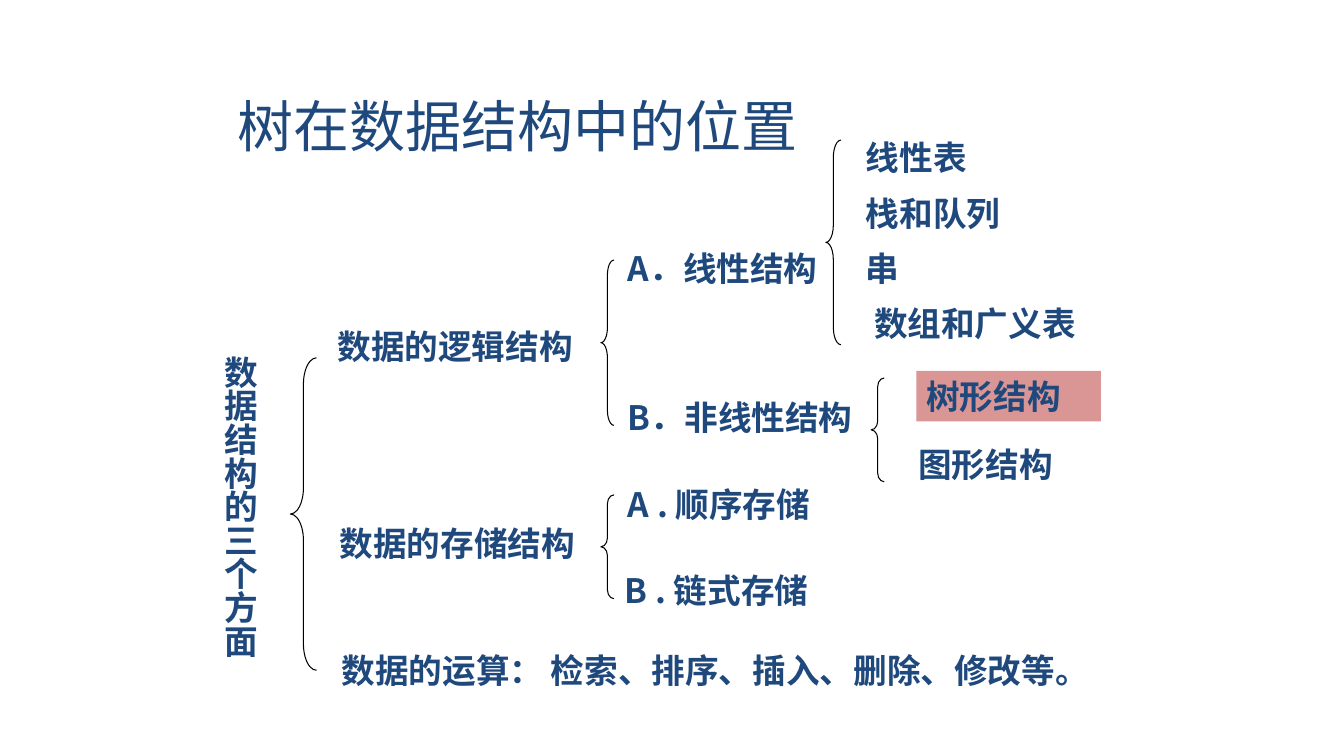
from lxml import etree
from pptx import Presentation
from pptx.dml.color import RGBColor
from pptx.enum.shapes import MSO_SHAPE as Shape
from pptx.enum.text import MSO_ANCHOR as Anchor, MSO_AUTO_SIZE as AutoSize, PP_ALIGN as Align
from pptx.oxml.ns import qn
from pptx.util import Inches, Pt

COLORS = {"text": "1F497D", "line": "000000", "highlight": "D99694"}
FONT = "Noto Sans CJK SC"
LABEL_HEIGHT = 0.5


def color(name):
    return RGBColor.from_string(COLORS[name])


def write_text(shape, text, size=24, bold=True, align=Align.LEFT):
    frame = shape.text_frame
    frame.text = text
    frame.word_wrap = True
    frame.auto_size = AutoSize.SHAPE_TO_FIT_TEXT
    frame.vertical_anchor = Anchor.TOP
    paragraph = frame.paragraphs[0]
    paragraph.alignment = align
    run = paragraph.runs[0]
    run.font.size = Pt(size)
    run.font.bold = bold
    run.font.name = FONT
    run.font.color.rgb = color("text")
    # East Asian typeface for the Chinese characters
    east_asian = etree.SubElement(run._r.get_or_add_rPr(), qn("a:ea"))
    east_asian.set("typeface", FONT)


def add_label(slide, text, left, top, width, height=LABEL_HEIGHT, **style):
    label = slide.shapes.add_textbox(Inches(left), Inches(top), Inches(width), Inches(height))
    write_text(label, text, **style)
    return label


def add_brace(slide, left, top, width, height, curve):
    brace = slide.shapes.add_shape(
        Shape.LEFT_BRACE, Inches(left), Inches(top), Inches(width), Inches(height))
    brace.shadow.inherit = False
    brace.fill.background()
    brace.line.color.rgb = color("line")
    brace.line.width = Pt(0.75)
    brace.adjustments[0] = curve
    brace.adjustments[1] = 0.5


def add_highlight(slide, text, left, top, width):
    box = slide.shapes.add_shape(
        Shape.RECTANGLE, Inches(left), Inches(top), Inches(width), Inches(LABEL_HEIGHT))
    box.shadow.inherit = False
    box.fill.solid()
    box.fill.fore_color.rgb = color("highlight")
    box.line.fill.background()
    write_text(box, text, align=Align.JUSTIFY)


def add_branch(slide, left, top, width, height, curve, labels):
    """Brace at the given box; each label is (text, x offset, y offset, width)."""
    add_brace(slide, left, top, width, height, curve)
    for text, dx, dy, label_width in labels:
        add_label(slide, text, left + dx, top + dy, label_width, align=Align.JUSTIFY)


def add_root(slide, left, top):
    """Vertical root label, its brace and the three aspects."""
    root = add_label(slide, "数据结构的三个方面", left, top, 0.61, 3.42)
    root.text_frame._txBody.bodyPr.set("vert", "eaVert")
    add_brace(slide, left + 0.86, top + 0.12, 0.26, 3.1, 1.005)
    aspects = [
        ("数据的逻辑结构", 1.23, -0.25, 3.27),
        ("数据的存储结构", 1.25, 1.71, 2.76),
        ("数据的运算： 检索、排序、插入、删除、修改等。", 1.27, 2.97, 7.88),
    ]
    for text, dx, dy, width in aspects:
        add_label(slide, text, left + dx, top + dy, width)


def add_logical_structures(slide, left, top):
    """Linear and non-linear structures with their members."""
    add_branch(slide, left, top, 0.13, 1.64, 1.134, [
        ("A．线性结构", 0.17, -0.17, 2.22),
        ("B．非线性结构", 0.17, 1.31, 2.66),
    ])
    # Linear members, one every 0.55 inches
    members = [("线性表", 0.3, 1.37), ("栈和队列", 0.3, 1.78),
               ("串", 0.3, 0.85), ("数组和广义表", 0.38, 2.52)]
    add_branch(slide, left + 2.23, top - 1.19, 0.15, 2.03, 1.134, [
        (text, dx, -0.08 + 0.55 * row, width)
        for row, (text, dx, width) in enumerate(members)])
    # Non-linear members, with the tree highlighted
    add_highlight(slide, "树形结构", left + 3.13, top + 1.1, 1.83)
    add_branch(slide, left + 2.68, top + 1.17, 0.13, 1.03, 0.67, [
        ("图形结构", 0.37, 0.6, 1.74)])


def add_storage_structures(slide, left, top):
    add_branch(slide, left, top, 0.13, 1.03, 0.67, [
        ("A . 顺序存储", 0.17, -0.16, 2.22),
        ("B . 链式存储", 0.14, 0.69, 2.16),
    ])


def main():
    presentation = Presentation()
    presentation.slide_width = Inches(13.33)
    presentation.slide_height = Inches(7.5)
    slide = presentation.slides.add_slide(presentation.slide_layouts[6])
    add_label(slide, "树在数据结构中的位置", 2.26, 0.86, 5.98, 0.77, size=40, bold=False)
    add_root(slide, 2.02, 3.43)
    add_logical_structures(slide, 5.96, 2.58)
    add_storage_structures(slide, 5.96, 4.91)
    presentation.save("out.pptx")


if __name__ == "__main__":
    main()
